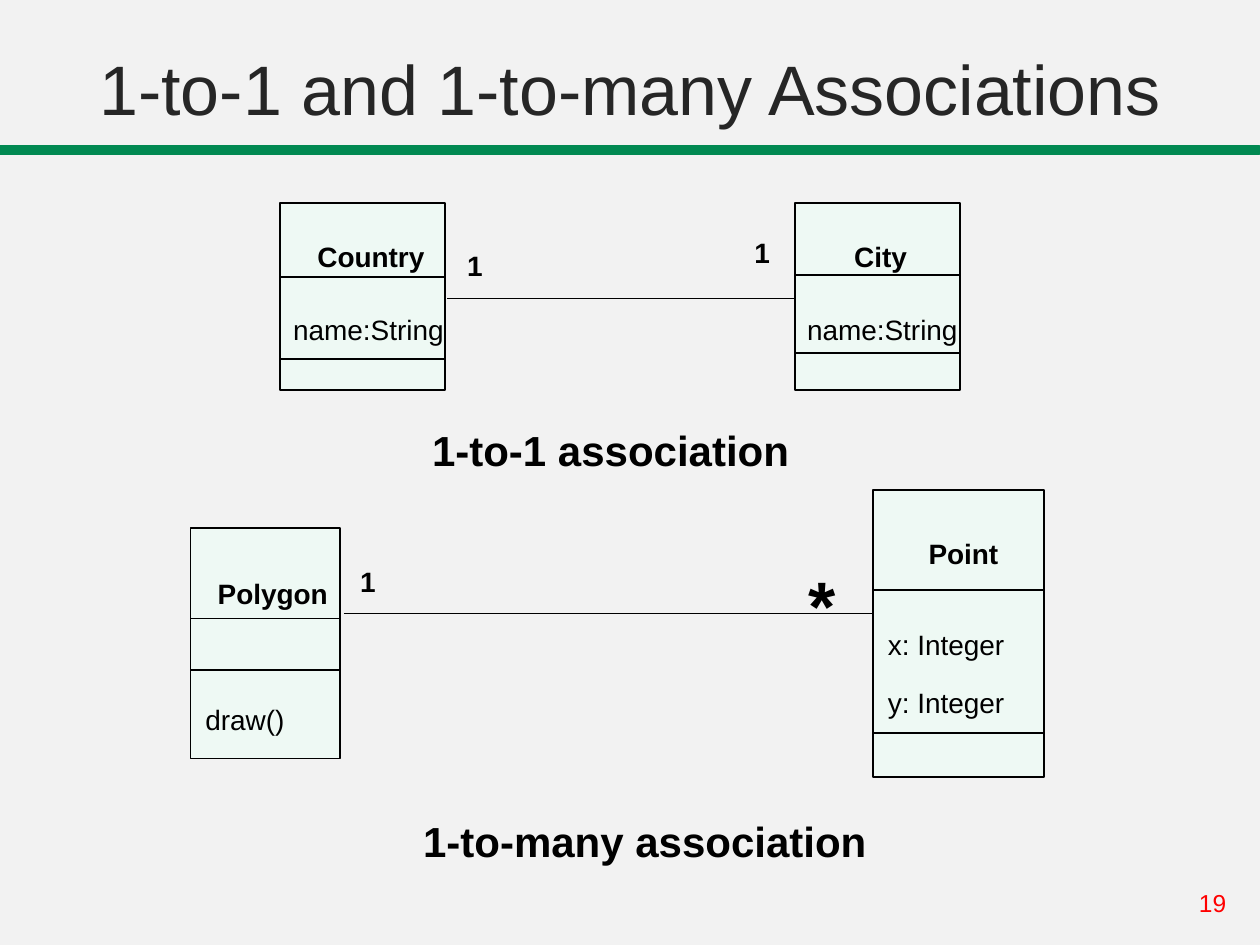
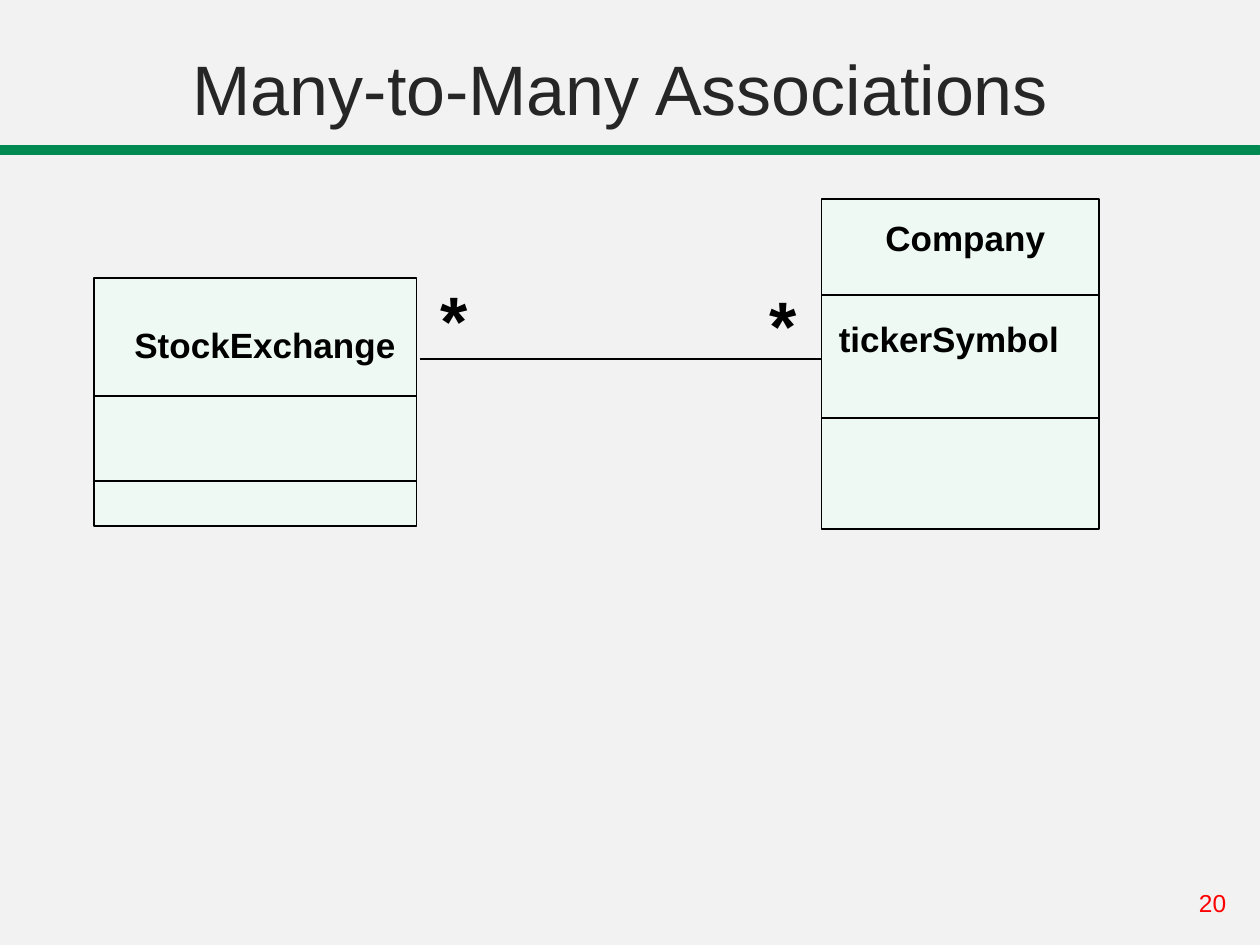
import dataclasses

import lxml.etree
import pptx
import pptx.dml.color
import pptx.enum.shapes
import pptx.enum.text
import pptx.oxml.ns
import pptx.util

Cm = pptx.util.Cm
Pt = pptx.util.Pt
TextAlign = pptx.enum.text.PP_ALIGN
Anchor = pptx.enum.text.MSO_ANCHOR


@dataclasses.dataclass(frozen=True)
class Theme:
    font: str = "Arial"
    background: str = "F2F2F2"
    band: str = "018952"
    title: str = "262626"
    page_number: str = "FF0000"
    box_fill: str = "EEF9F4"
    ink: str = "000000"
    title_size: int = 40
    star_size: int = 40
    caption_size: int = 24
    large_size: int = 20
    body_size: int = 16
    page_size: int = 14
    line_width: float = 1
    band_line_width: float = 1.75
    slide_width: float = 25.4
    slide_height: float = 19.05


THEME = Theme()


def color(value):
    return pptx.dml.color.RGBColor.from_string(value)


# Basic elements
def add_text(slide, text, left, top, width, size, bold=False, ink=THEME.ink):
    """One line of text, in a box as tall as the line and its insets."""
    height = size * 0.042 + 0.25
    shape = slide.shapes.add_textbox(Cm(left), Cm(top), Cm(width), Cm(height))
    frame = shape.text_frame
    frame.word_wrap = False
    frame.auto_size = pptx.enum.text.MSO_AUTO_SIZE.SHAPE_TO_FIT_TEXT
    run = frame.paragraphs[0].add_run()
    run.text = text
    run.font.name = THEME.font
    run.font.size = Pt(size)
    run.font.bold = bold
    run.font.color.rgb = color(ink)
    return shape


def add_rectangle(slide, left, top, width, height, fill, line, line_width):
    shape = slide.shapes.add_shape(
        pptx.enum.shapes.MSO_SHAPE.RECTANGLE,
        Cm(left), Cm(top), Cm(width), Cm(height))
    shape.shadow.inherit = False
    shape.fill.solid()
    shape.fill.fore_color.rgb = color(fill)
    shape.line.color.rgb = color(line)
    shape.line.width = Pt(line_width)


def add_horizontal_line(slide, start, end, y):
    connector = slide.shapes.add_connector(
        pptx.enum.shapes.MSO_CONNECTOR.STRAIGHT,
        Cm(start), Cm(y), Cm(end), Cm(y))
    connector.line.color.rgb = color(THEME.ink)
    connector.line.width = Pt(THEME.line_width)
    lxml.etree.SubElement(connector._element.spPr,
                          pptx.oxml.ns.qn("a:effectLst"))


# Diagram elements
def add_class(slide, bounds, dividers, name, members=(),
              size=THEME.body_size, bold_members=False):
    """A class box; name and members are (text, left, top, width)."""
    left, top, width, height = bounds
    add_rectangle(slide, left, top, width, height,
                  THEME.box_fill, THEME.ink, THEME.line_width)
    for y in dividers:
        add_horizontal_line(slide, left, left + width, y)
    add_text(slide, *name, size, bold=True)
    for member in members:
        add_text(slide, *member, size, bold=bold_members)


def add_one(slide, left, top):
    add_text(slide, "1", left, top, 0.81, THEME.body_size, bold=True)


def add_star(slide, left, top):
    add_text(slide, "*", left, top, 1.04, THEME.star_size, bold=True)


def add_caption(slide, text, left, top, width):
    add_text(slide, text, left, top, width, THEME.caption_size, bold=True)


# Shared slide frame: band, page number and title
def add_slide(presentation, title, number):
    slide = presentation.slides.add_slide(presentation.slide_layouts[6])
    add_rectangle(slide, 0, 2.96, THEME.slide_width, 0.13,
                  THEME.band, THEME.band, THEME.band_line_width)
    add_text(slide, str(number), 23.92, 17.78, 1.48, THEME.page_size,
             ink=THEME.page_number).text_frame.word_wrap = True
    heading = add_text(slide, title, 0, 0, THEME.slide_width,
                       THEME.title_size, ink=THEME.title)
    heading.height = Cm(2.74)
    frame = heading.text_frame
    frame.auto_size = pptx.enum.text.MSO_AUTO_SIZE.NONE
    frame.word_wrap = True
    frame.vertical_anchor = Anchor.BOTTOM
    frame.paragraphs[0].alignment = TextAlign.CENTER
    return slide


def build_single_associations(presentation):
    slide = add_slide(presentation, "1-to-1 and 1-to-many Associations", 19)

    # Country to City
    add_class(slide, (5.64, 4.09, 3.33, 3.78), (5.59, 7.24),
              ("Country", 6.15, 4.7, 2.75),
              [("name:String", 5.66, 6.17, 3.65)])
    add_class(slide, (16.03, 4.09, 3.33, 3.78), (5.54, 7.11),
              ("City", 16.97, 4.7, 1.65),
              [("name:String", 16.02, 6.17, 3.65)])
    add_horizontal_line(slide, 9.02, 16.03, 6.02)
    add_one(slide, 9.17, 4.88)
    add_one(slide, 14.96, 4.62)
    add_caption(slide, "1-to-1 association", 8.46, 8.43, 7.85)

    # Polygon to Point
    add_class(slide, (3.84, 10.64, 3.02, 4.65), (12.47, 13.51),
              ("Polygon", 4.14, 11.5, 2.8),
              [("draw()", 3.89, 14.04, 2.2)])
    add_class(slide, (17.6, 9.88, 3.45, 5.79), (11.89, 14.78),
              ("Point", 18.47, 10.69, 2.1),
              [("x: Integer", 17.65, 12.52, 3.05),
               ("y: Integer", 17.65, 13.69, 3.05)])
    add_horizontal_line(slide, 6.93, 17.6, 12.37)
    add_one(slide, 7.01, 11.25)
    add_star(slide, 16.05, 11.2)
    add_caption(slide, "1-to-many association", 8.28, 16.31, 9.6)


def build_many_associations(presentation):
    slide = add_slide(presentation, "Many-to-Many Associations ", 20)
    add_class(slide, (1.9, 5.61, 6.5, 5), (7.98, 9.7),
              ("StockExchange", 2.46, 6.4, 5.9), size=THEME.large_size)
    add_class(slide, (16.56, 4.01, 5.59, 6.65), (5.94, 8.43),
              ("Company", 17.6, 4.24, 3.85),
              [("tickerSymbol", 16.66, 6.27, 5.05)],
              size=THEME.large_size, bold_members=True)
    add_horizontal_line(slide, 8.46, 16.56, 7.24)
    add_star(slide, 8.64, 5.44)
    add_star(slide, 15.27, 5.56)


def main():
    presentation = pptx.Presentation()
    presentation.slide_width = Cm(THEME.slide_width)
    presentation.slide_height = Cm(THEME.slide_height)
    background = presentation.slide_master.background.fill
    background.solid()
    background.fore_color.rgb = color(THEME.background)
    build_single_associations(presentation)
    build_many_associations(presentation)
    presentation.save("out.pptx")


if __name__ == "__main__":
    main()
